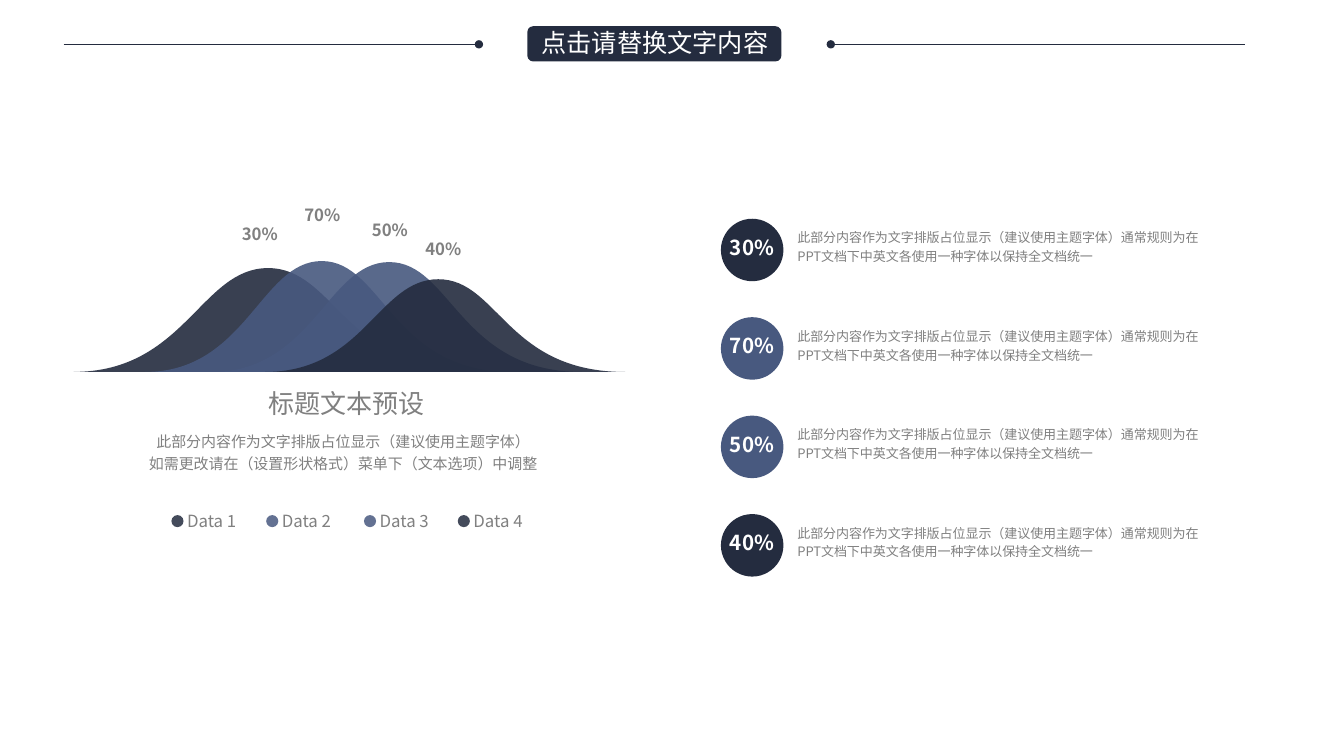
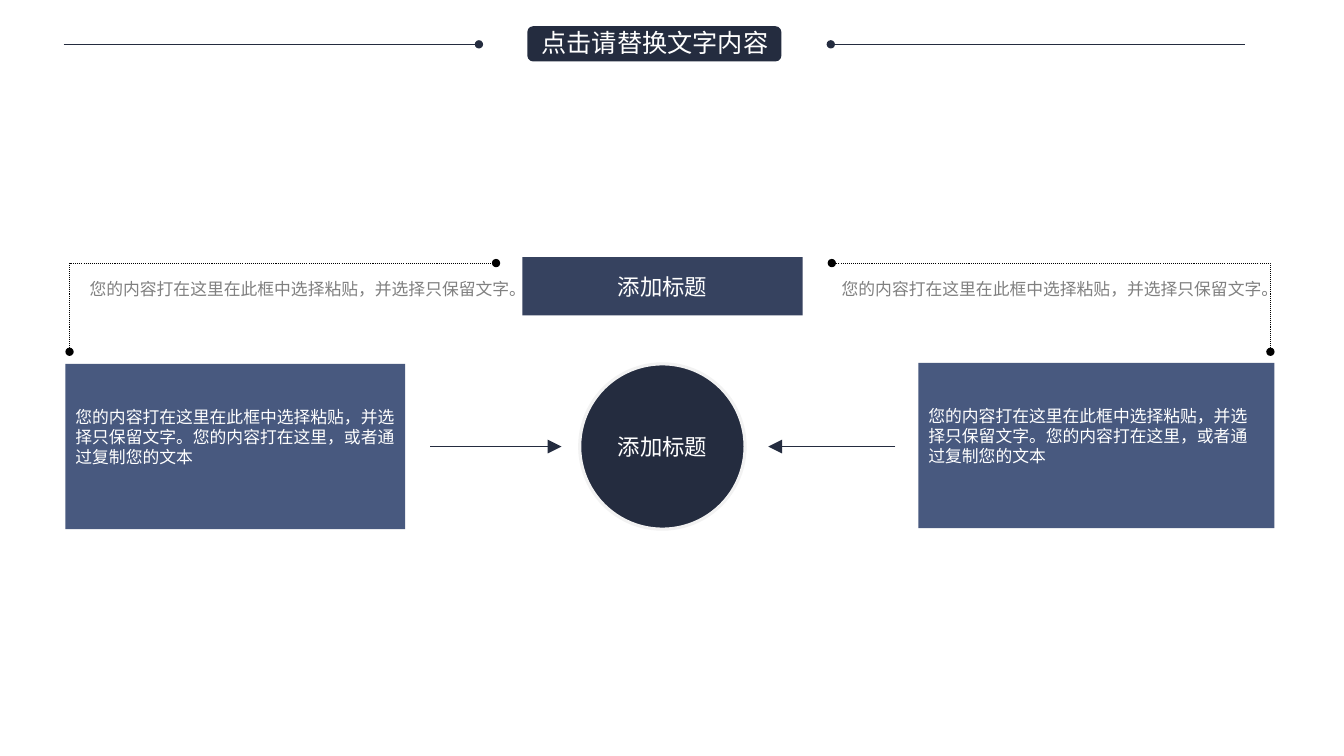
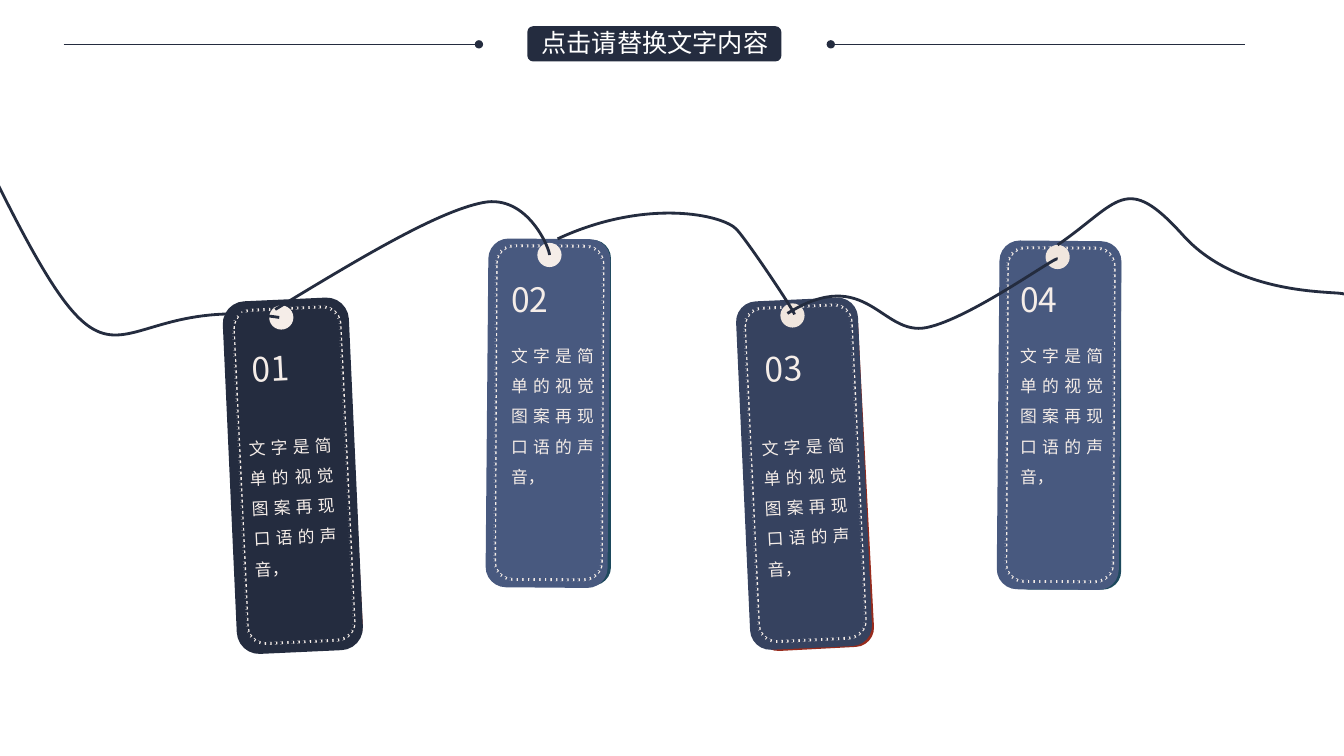
from lxml import etree
from pptx import Presentation
from pptx.dml.color import RGBColor
from pptx.enum.dml import MSO_LINE
from pptx.enum.shapes import MSO_CONNECTOR, MSO_SHAPE
from pptx.enum.text import MSO_ANCHOR, MSO_AUTO_SIZE, PP_ALIGN
from pptx.oxml.ns import qn
from pptx.util import Inches, Pt

RECTANGLE = MSO_SHAPE.RECTANGLE
ROUNDED = MSO_SHAPE.ROUNDED_RECTANGLE
OVAL = MSO_SHAPE.OVAL
LEFT, CENTER, JUSTIFY = PP_ALIGN.LEFT, PP_ALIGN.CENTER, PP_ALIGN.JUSTIFY
TOP, MIDDLE = MSO_ANCHOR.TOP, MSO_ANCHOR.MIDDLE
DOTTED = MSO_LINE.ROUND_DOT

# Shared look; all lengths are columns and rows of a one-inch grid
COLUMNS, ROWS = 13.33, 7.5
NAVY, SLATE, BLUE = "242C3F", "36425F", "48597F"
GRAY, WHITE, CREAM, BLACK = "808080", "FFFFFF", "F5EDE8", "000000"
FONT, NUMBER_FONT, TITLE_FONT = "Noto Sans CJK SC", "Noto Sans CJK JP", "Arial"
INSETS, NO_INSETS = (0.1, 0.05, 0.1, 0.05), (0, 0, 0, 0)
TITLE = "点击请替换文字内容"


def rgb(color):
    return RGBColor.from_string(color)


def grid(*lengths):
    return [Inches(length) for length in lengths]


# Basic elements
def write(frame, text, size, color, font=FONT, bold=False, align=LEFT,
          anchor=TOP, spacing=None, insets=INSETS, wrap=True):
    frame.word_wrap = wrap
    frame.vertical_anchor = anchor
    (frame.margin_left, frame.margin_top,
     frame.margin_right, frame.margin_bottom) = grid(*insets)
    paragraph = frame.paragraphs[0]
    paragraph.alignment = align
    if spacing:
        paragraph.line_spacing = spacing
    for index, line in enumerate(text.split("\n")):
        if index:
            paragraph.add_line_break()
        run = paragraph.add_run()
        run.text = line
        run.font.size = Pt(size)
        run.font.bold = bold
        run.font.name = font
        run.font.color.rgb = rgb(color)
    east_asian = FONT if font == TITLE_FONT else font
    for latin in list(frame._txBody.iter(qn("a:latin"))):
        latin.addnext(etree.Element(qn("a:ea"), typeface=east_asian))


def add_text(slide, box, text, size, color, rotation=0, **style):
    shape = slide.shapes.add_textbox(*grid(*box))
    shape.rotation = rotation
    write(shape.text_frame, text, size, color, **style)


def paint(shape, fill=None, opacity=100, line=None, width=1, dash=None):
    shape.shadow.inherit = False
    if fill:
        shape.fill.solid()
        shape.fill.fore_color.rgb = rgb(fill)
        if opacity < 100:
            color = shape.element.spPr.find(qn("a:solidFill"))[0]
            etree.SubElement(color, qn("a:alpha"), val=str(opacity * 1000))
    else:
        shape.fill.background()
    if line:
        style_line(shape, line, width, dash)
    else:
        shape.line.fill.background()


def style_line(shape, color, width, dash=None, head=None, tail=None):
    shape.line.color.rgb = rgb(color)
    shape.line.width = Pt(width)
    if dash:
        shape.line.dash_style = dash
    outline = shape.element.spPr.find(qn("a:ln"))
    for tag, end in (("a:headEnd", head), ("a:tailEnd", tail)):
        if end:
            size = "lg" if end == "triangle" else "med"
            etree.SubElement(outline, qn(tag), type=end, w=size, len=size)


def add_shape(slide, kind, box, fill=None, rotation=0, **look):
    shape = slide.shapes.add_shape(kind, *grid(*box))
    shape.rotation = rotation
    paint(shape, fill, **look)
    return shape


def add_line(slide, start, end, width, head=None, tail=None):
    line = slide.shapes.add_connector(MSO_CONNECTOR.STRAIGHT, *grid(*start, *end))
    style_line(line, NAVY, width, head=head, tail=tail)
    etree.SubElement(line.element.spPr, qn("a:effectLst"))


def add_outline(slide, points, close=False):
    start, *rest = [grid(*point) for point in points]
    builder = slide.shapes.build_freeform(*start)
    builder.add_line_segments(rest, close=close)
    return builder.convert_to_shape()


def curve_extent(values, steps=60):
    """Lowest and highest value along a chain of cubic curves."""
    reached = []
    for first in range(0, len(values) - 1, 3):
        a, b, c, d = values[first:first + 4]
        for step in range(steps + 1):
            t = step / steps
            u = 1 - t
            reached.append(u ** 3 * a + 3 * u * u * t * b + 3 * u * t * t * c + t ** 3 * d)
    return min(reached), max(reached)


def add_curve(slide, controls, close=False):
    """A start, then three points (two handles and an end) per cubic curve."""
    shape = add_outline(slide, controls, close)
    geometry = shape.element.spPr.find(qn("a:custGeom"))
    segments = list(geometry.iter(qn("a:lnTo")))[:len(controls) - 1]
    for first in range(0, len(segments), 3):
        curve = etree.Element(qn("a:cubicBezTo"))
        segments[first].addprevious(curve)
        for segment in segments[first:first + 3]:
            curve.append(segment[0])
            segment.getparent().remove(segment)
    # Shrink the frame from the handles to the curve itself
    (left, right), (top, bottom) = [
        [Inches(value) for value in curve_extent(values)] for values in zip(*controls)]
    for point in geometry.iter(qn("a:pt")):
        point.set("x", str(int(point.get("x")) + shape.left - left))
        point.set("y", str(int(point.get("y")) + shape.top - top))
    outline = next(geometry.iter(qn("a:path")))
    outline.set("w", str(right - left))
    outline.set("h", str(bottom - top))
    shape.left, shape.top, shape.width, shape.height = left, top, right - left, bottom - top
    return shape


# Header shared by every slide
def new_slide(presentation):
    slide = presentation.slides.add_slide(presentation.slide_layouts[5])
    add_line(slide, (0.63, 0.44), (4.75, 0.44), 0.5, tail="oval")
    add_line(slide, (8.24, 0.44), (12.35, 0.44), 0.5, head="oval")
    add_shape(slide, ROUNDED, (5.23, 0.26, 2.52, 0.35), NAVY)
    title = slide.shapes.title
    title.left, title.top, title.width, title.height = grid(5.27, 0.22, 2.47, 0.4)
    title.text_frame.auto_size = MSO_AUTO_SIZE.SHAPE_TO_FIT_TEXT
    write(title.text_frame, TITLE, 18, WHITE, font=TITLE_FONT, wrap=False)
    title.element.getparent().append(title.element)  # above the band
    return slide


# Slide 1: overlapping humps and their percentages
def add_hump(slide, left, right, peak, color):
    base = 3.69
    shares = (0, 0.275, 0.315, 0.481, 0.648, 0.671, 1)
    heights = (base, base, peak, peak, peak, base, base)
    controls = [(left + share * (right - left), height)
                for share, height in zip(shares, heights)]
    paint(add_curve(slide, controls, close=True), color, opacity=90)


def add_percentage_row(slide, index, percentage, color):
    top = 2.17 + (5.1 - 2.17) / 3 * index
    circle = add_shape(slide, OVAL, (7.15, top, 0.62, 0.62), color)
    write(circle.text_frame, percentage, 14.7, WHITE, bold=True, align=CENTER,
          anchor=MIDDLE, insets=(0, 0, 0, 0.06), wrap=False)
    add_text(slide, (7.81, top + 0.03, 4.48, 0.58),
             "此部分内容作为文字排版占位显示（建议使用主题字体）通常规则为在"
             "PPT文档下中英文各使用一种字体以保持全文档统一",
             9.3, GRAY, spacing=1.2, insets=(0.1, 0.05, 0.25, 0.05))


def add_legend_entry(slide, left, name, color):
    add_shape(slide, OVAL, (left, 5.11, 0.12, 0.12), color, opacity=85)
    add_text(slide, (left + 0.12, 5.07, 0.56, 0.19), name, 12, GRAY,
             align=CENTER, anchor=MIDDLE, insets=NO_INSETS, wrap=False)


def build_humps(presentation):
    slide = new_slide(presentation)
    # percentage, colour, hump left, right and peak, label left and top, legend left
    series = (
        ("30%", NAVY, (0.73, 4.74, 2.66), (2.3, 2.17), 1.7),
        ("70%", BLUE, (1.44, 5.08, 2.59), (2.92, 1.98), 2.64),
        ("50%", BLUE, (2.09, 5.77, 2.6), (3.59, 2.13), 3.61),
        ("40%", NAVY, (2.63, 6.2, 2.77), (4.12, 2.32), 4.54),
    )
    for index, (percentage, color, hump, label, legend_left) in enumerate(series):
        add_hump(slide, *hump, color)
        add_text(slide, (*label, 0.58, 0.33), percentage, 12, GRAY, bold=True, wrap=False)
        add_legend_entry(slide, legend_left, f"Data {index + 1}", color)
        add_percentage_row(slide, index, percentage, color)
    add_text(slide, (2.58, 3.79, 1.72, 0.4), "标题文本预设", 18.6, GRAY,
             align=CENTER, insets=(0, 0.05, 0, 0.05), wrap=False)
    add_text(slide, (0.45, 4.21, 5.91, 0.58),
             "此部分内容作为文字排版占位显示（建议使用主题字体）\n"
             "如需更改请在（设置形状格式）菜单下（文本选项）中调整",
             10.7, GRAY, align=CENTER, spacing=1.2)


# Slide 2: two panels pointing at a hub
def add_panel(slide, box, bracket, note_left, arrow, right_inset):
    outer, inner = bracket
    corner = add_outline(slide, ((outer, 3.49), (outer, 2.61), (inner, 2.61)))
    paint(corner)
    style_line(corner, BLACK, 0.75, DOTTED, head="oval", tail="oval")
    add_line(slide, (arrow[0], 4.43), (arrow[1], 4.43), 0.75, tail="triangle")
    panel = add_shape(slide, RECTANGLE, box, BLUE)
    write(panel.text_frame,
          "您的内容打在这里在此框中选择粘贴，并选择只保留文字。您的内容打在这里，或者通过复制您的文本",
          12, WHITE, anchor=MIDDLE, insets=(0.1, 0.05, right_inset, 0.24))
    add_text(slide, (note_left, 2.72, 4.56, 0.3),
             "您的内容打在这里在此框中选择粘贴，并选择只保留文字。", 12, GRAY)


def build_hub(presentation):
    slide = new_slide(presentation)
    heading = add_shape(slide, RECTANGLE, (5.18, 2.55, 2.78, 0.58), SLATE)
    hub = add_shape(slide, OVAL, (5.75, 3.61, 1.64, 1.64), NAVY, line="F2F2F2", width=2.25)
    for shape in (heading, hub):
        write(shape.text_frame, "添加标题", 16, WHITE, align=CENTER, anchor=MIDDLE, wrap=False)
    add_panel(slide, (0.65, 3.61, 3.37, 1.64), (0.69, 4.92), 0.79, (4.27, 5.57), 0.1)
    add_panel(slide, (9.11, 3.6, 3.53, 1.64), (12.6, 8.25), 8.25, (8.88, 7.62), 0.25)


# Slide 3: tags hanging on a string
def add_tag(slide, number, color, corner, edge, hole, text_left, tilted, border=None):
    left, top = corner
    edge_color, edge_turn, turn, stitch_turn, text_turn = (
        ("982B1C", 357, 357.4, 357.3, 357) if tilted else ("1D495D", 0, 0.5, 0.3, 0))
    number_top, body_top = (3.39, 4.18) if tilted else (2.72, 3.28)
    hole_left, hole_color = hole
    add_shape(slide, ROUNDED, edge, edge_color, edge_turn)
    add_shape(slide, ROUNDED, (left, top, 1.21, 3.46), color, turn, line=border, width=3)
    stitches = add_shape(slide, ROUNDED, (left + 0.07, top + 0.07, 1.06, 3.31),
                         rotation=stitch_turn, line=color, width=2, dash=DOTTED)
    add_hard_shadow(stitches)
    add_shape(slide, OVAL, (hole_left, top + 0.04, 0.24, 0.24), hole_color)
    add_text(slide, (text_left, number_top, 1.08, 0.5), number, 24, CREAM, text_turn,
             font=NUMBER_FONT)
    add_text(slide, (text_left, body_top, 1.02, 1.62),
             "文字是简单的视觉图案再现 口语的声音，", 12, CREAM, text_turn,
             align=JUSTIFY, spacing=1.5)


def add_hard_shadow(shape):
    effects = shape.element.spPr.find(qn("a:effectLst"))
    shadow = etree.SubElement(effects, qn("a:outerShdw"), blurRad="0",
                              dist=str(Pt(1)), dir="0", algn="l", rotWithShape="0")
    etree.SubElement(shadow, qn("a:srgbClr"), val=CREAM)


def build_tags(presentation):
    slide = new_slide(presentation)
    sand = "F0E6DE"
    add_tag(slide, "01", NAVY, (2.3, 2.99), (2.34, 3.02, 1.18, 3.41),
            (2.67, CREAM), 2.4, True, border=NAVY)
    add_tag(slide, "02", BLUE, (4.83, 2.37), (4.96, 2.38, 1.1, 3.43),
            (5.33, CREAM), 4.97, False)
    add_tag(slide, "03", SLATE, (7.37, 2.97), (7.45, 3.05, 1.14, 3.39),
            (7.74, sand), 7.49, True)
    add_tag(slide, "04", BLUE, (9.9, 2.39), (10.02, 2.42, 1.1, 3.43),
            (10.37, sand), 10.02, False)
    strings = (
        ((-0.03, 1.81), (1.22, 4.33), (0.98, 2.88), (2.77, 3.15)),
        ((2.73, 3.07), (3.54, 2.58), (4.33, 2.1), (4.79, 2.01),
         (5.24, 1.92), (5.46, 2.49), (5.45, 2.53)),
        ((5.53, 2.37), (6.41, 1.96), (7.18, 2.13), (7.31, 2.28),
         (7.44, 2.43), (7.88, 3.09), (7.88, 3.12)),
        ((7.81, 3.11), (8.6, 2.62), (8.74, 3.34), (9.19, 3.25),
         (9.63, 3.16), (10.5, 2.52), (10.49, 2.57)),
        ((10.49, 2.43), (11.1, 2.01), (11.16, 1.7), (11.73, 2.33),
         (12.3, 2.97), (13.33, 2.88), (13.33, 2.92)),
    )
    for controls in strings:
        paint(add_curve(slide, controls), line=NAVY, width=2)


def main():
    presentation = Presentation()
    presentation.slide_width, presentation.slide_height = grid(COLUMNS, ROWS)
    build_humps(presentation)
    build_hub(presentation)
    build_tags(presentation)
    presentation.save("out.pptx")


if __name__ == "__main__":
    main()
